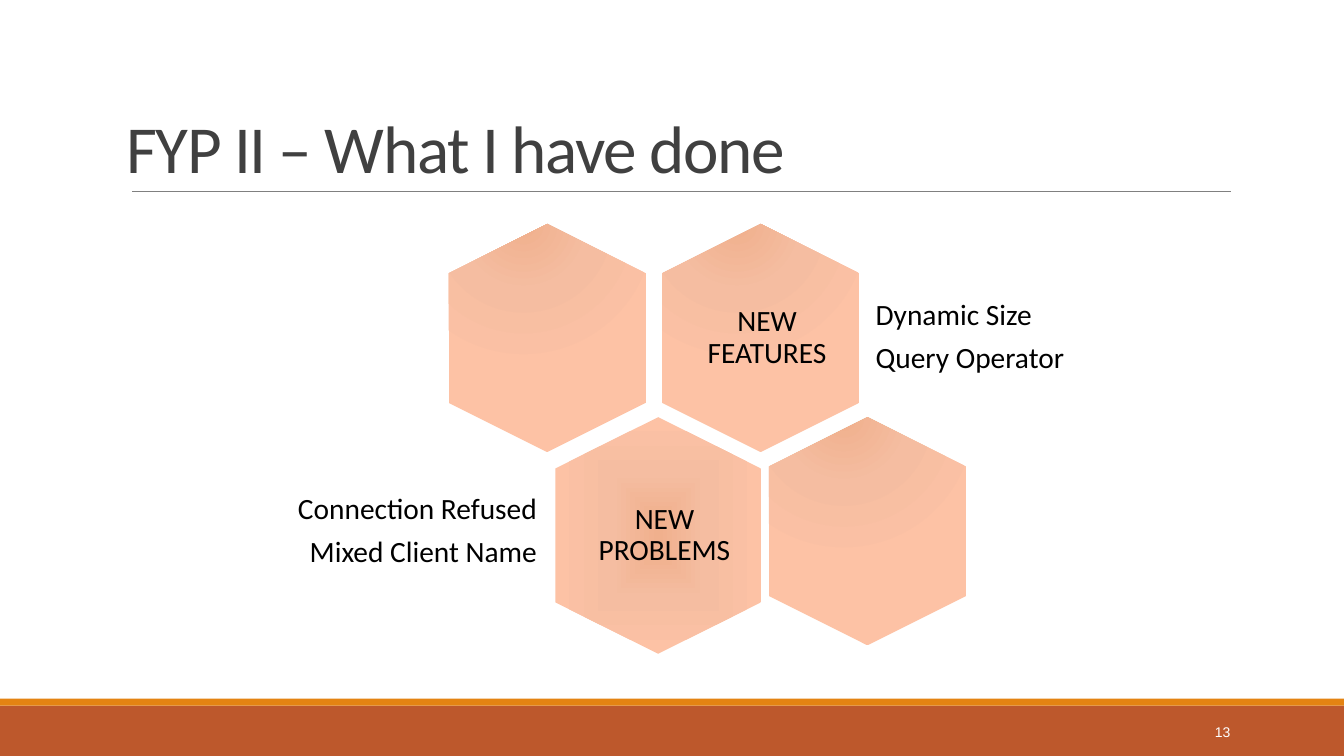
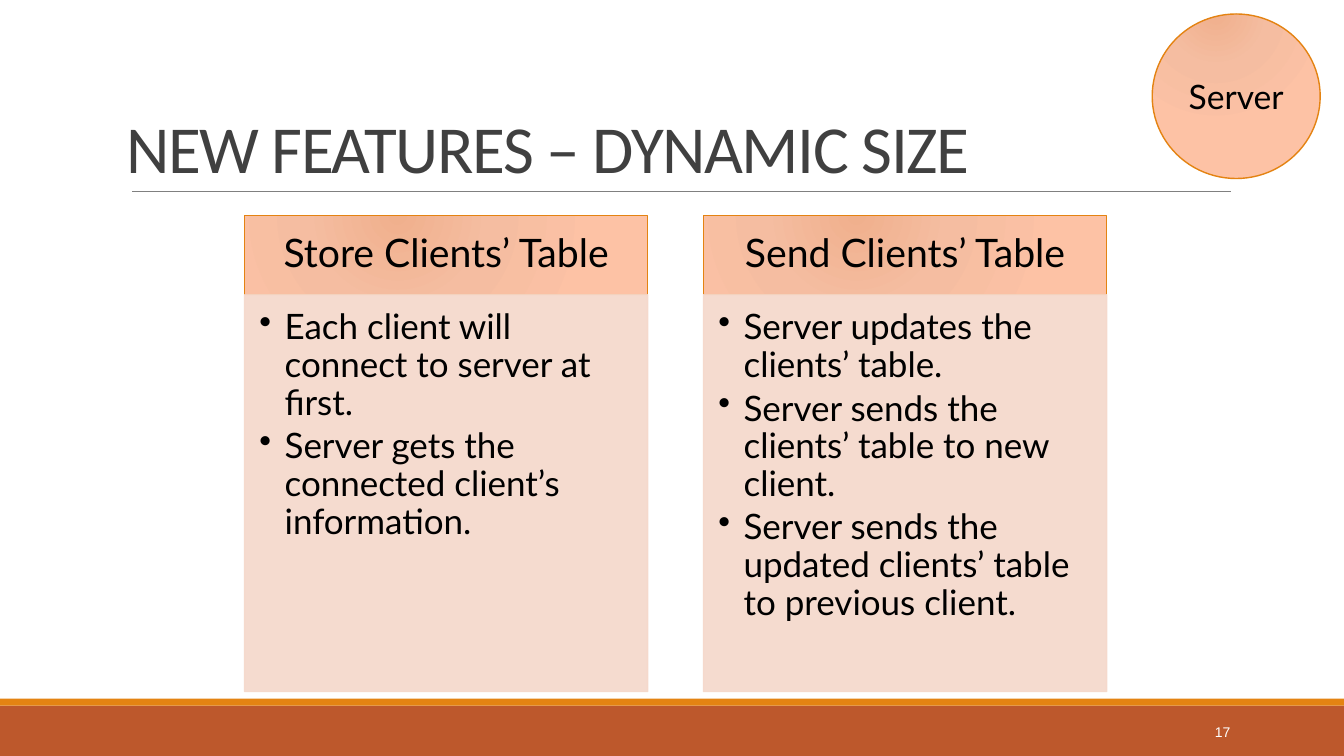
import pptx
import pptx.util
import pptx.oxml
import pptx.oxml.ns
from dataclasses import dataclass
from pptx.dml.color import RGBColor
from pptx.enum.shapes import MSO_CONNECTOR, MSO_SHAPE
from pptx.enum.text import MSO_ANCHOR, PP_ALIGN
from lxml import etree

Pt = pptx.util.Pt
qn = pptx.oxml.ns.qn


@dataclass(frozen=True)
class Theme:
    # Colours
    band: str = "BD582C"
    accent: str = "E48312"
    rule: str = "808080"
    title: str = "404040"
    text: str = "000000"
    number: str = "FFFFFF"
    panel: str = "F5D8CA"
    glow: tuple = ((0, "F0B08D"), (45, "F5BDA1"), (100, "FDC2A5"))
    # Fonts and type sizes
    font: str = "Calibri"
    body_font: str = "Lato"
    number_font: str = "Arial"
    title_size: int = 48
    header_size: int = 28
    body_size: int = 25
    circle_size: int = 24
    label_size: int = 21
    number_size: int = 10


T = Theme()
TOP_GLOW = ("circle", (38, -20, 62, 120))
CENTRE_GLOW = ("shape", (50, 50, 50, 50))


def write(tf, *lines, size, font=T.font, color=T.text, align=PP_ALIGN.LEFT,
          anchor=MSO_ANCHOR.MIDDLE, insets=(7, 7, 7, 7), spacing=0.9, gap=0,
          bullet=False, tracking=None, wrap=True):
    """Fill a text frame, one paragraph for each line."""
    tf.word_wrap = wrap
    tf.vertical_anchor = anchor
    tf.margin_left, tf.margin_top, tf.margin_right, tf.margin_bottom = map(Pt, insets)
    for i, line in enumerate(lines):
        p = tf.add_paragraph() if i else tf.paragraphs[0]
        if bullet:
            pPr = p._p.get_or_add_pPr()
            pPr.set("marL", str(Pt(18)))
            pPr.set("indent", str(-Pt(18)))
            etree.SubElement(pPr, qn("a:buChar"), char="•")
        p.alignment = align
        p.line_spacing = spacing
        p.space_before = Pt(gap if i else 0)
        r = p.add_run()
        r.text = line
        r.font.name = font
        r.font.size = Pt(size)
        r.font.color.rgb = RGBColor.from_string(color)
        if tracking:
            r._r.get_or_add_rPr().set("spc", str(tracking * 100))


class Deck:
    def __init__(self):
        self.prs = pptx.Presentation()
        self.prs.slide_width, self.prs.slide_height = Pt(960), Pt(540)
        self.s = None

    def slide(self, title, number):
        """Start a slide with its title, rule, bands and number."""
        self.s = self.prs.slides.add_slide(self.prs.slide_layouts[5])
        sp = self.s.shapes.title
        sp.left, sp.top, sp.width, sp.height = map(Pt, (86.5, 22.5, 792, 114.5))
        write(sp.text_frame, title, size=T.title_size, color=T.title, spacing=0.85,
              anchor=MSO_ANCHOR.BOTTOM, insets=(3.6,) * 4, tracking=-1)
        self.shape(0, 504, 960, 36, fill=T.band)
        self.shape(0, 499, 960, 5, fill=T.accent)
        self.line(94.5, 137, 879, 137)
        self.text(864, 514, 18.5, 18, number, size=T.number_size, font=T.number_font,
                  color=T.number, align=PP_ALIGN.RIGHT, insets=(3.6,) * 4,
                  spacing=1, wrap=False)

    def line(self, x1, y1, x2, y2):
        c = self.s.shapes.add_connector(MSO_CONNECTOR.STRAIGHT, *map(Pt, (x1, y1, x2, y2)))
        c.line.color.rgb = RGBColor.from_string(T.rule)
        c.line.width = Pt(0.5)
        etree.SubElement(c._element.spPr, qn("a:effectLst"))

    def paint(self, sp, fill=None, glow=None, line=None, alpha=None):
        """Set a plain or glowing fill, and the outline."""
        sp.shadow.inherit = False
        spPr = sp._element.spPr
        if glow:
            kind, edges = glow
            sp.fill.gradient()
            stops = "".join(f'<a:gs pos="{pos * 1000}"><a:srgbClr val="{color}"/></a:gs>'
                            for pos, color in T.glow)
            rect = " ".join(f'{side}="{edge * 1000}"' for side, edge in zip("ltrb", edges))
            spPr.replace(spPr.find(qn("a:gradFill")), pptx.oxml.parse_xml(
                f'<a:gradFill {pptx.oxml.ns.nsdecls("a")} rotWithShape="1">'
                f'<a:gsLst>{stops}</a:gsLst>'
                f'<a:path path="{kind}"><a:fillToRect {rect}/></a:path></a:gradFill>'))
        else:
            sp.fill.solid()
            sp.fill.fore_color.rgb = RGBColor.from_string(fill)
        if line:
            sp.line.color.rgb = RGBColor.from_string(line)
            sp.line.width = Pt(1)
        else:
            sp.line.fill.background()
        if alpha:
            for color in spPr.iter(qn("a:srgbClr")):
                etree.SubElement(color, qn("a:alpha"), val=str(alpha * 1000))

    def shape(self, x, y, w, h, kind=MSO_SHAPE.RECTANGLE, **paint):
        sp = self.s.shapes.add_shape(kind, *map(Pt, (x, y, w, h)))
        self.paint(sp, **paint)
        return sp

    def text(self, x, y, w, h, *lines, **fmt):
        sp = self.s.shapes.add_textbox(*map(Pt, (x, y, w, h)))
        write(sp.text_frame, *lines, **fmt)

    def hexagon(self, x, y, w, h, glow=TOP_GLOW, label=None):
        """Draw a hexagon that stands on a corner."""
        cut = w / 4
        corners = [(x + w / 2, y), (x + w, y + cut), (x + w, y + h - cut),
                   (x + w / 2, y + h), (x, y + h - cut), (x, y + cut)]
        points = [(Pt(px), Pt(py)) for px, py in corners]
        fb = self.s.shapes.build_freeform(*points[0])
        fb.add_line_segments(points[1:], close=True)
        sp = fb.convert_to_shape()
        self.paint(sp, glow=glow)
        if label:
            write(sp.text_frame, label, size=T.label_size, align=PP_ALIGN.CENTER,
                  insets=(28, 7, 19, 7))

    def column(self, x, header, *points):
        """Draw a header over a panel of bullet points."""
        sp = self.shape(x, 154, 288, 56.5, glow=TOP_GLOW, line=T.accent)
        write(sp.text_frame, header, size=T.header_size, font=T.body_font,
              align=PP_ALIGN.CENTER, insets=(8.5,) * 4)
        sp = self.shape(x, 210.5, 288, 283.5, fill=T.panel, line=T.panel, alpha=90)
        write(sp.text_frame, *points, size=T.body_size, font=T.body_font,
              anchor=MSO_ANCHOR.TOP, insets=(10.7,) * 4, gap=4, bullet=True)


def main():
    deck = Deck()

    # Honeycomb of work done
    deck.slide("FYP II – What I have done", "13")
    left, pitch, rows = 320.4, 152.5, (160, 298)
    cells = [(1, 0, 141, 163, TOP_GLOW, "NEW FEATURES"),
             (0, 0, 141, 163, TOP_GLOW, None),
             (0.5, 1, 147, 169, CENTRE_GLOW, "NEW PROBLEMS"),
             (1.5, 1, 141, 163, TOP_GLOW, None)]
    for col, row, w, h, glow, label in cells:
        deck.hexagon(left + col * pitch, rows[row], w, h, glow, label)
    deck.text(618.5, 206.5, 276, 69, "Dynamic Size", "Query Operator",
              size=T.label_size, gap=8)
    deck.text(163.5, 345, 227, 69, "Connection Refused", "Mixed Client Name",
              size=T.label_size, gap=8, align=PP_ALIGN.RIGHT)

    # Server tasks for the dynamic size
    deck.slide("NEW FEATURES – DYNAMIC SIZE", "17")
    deck.column(174.7, "Store Clients’ Table",
                "Each client will connect to server at first.",
                "Server gets the connected client’s information.")
    deck.column(502.5, "Send Clients’ Table",
                "Server updates the clients’ table.",
                "Server sends the clients’ table to new client.",
                "Server sends the updated clients’ table to previous client.")
    sp = deck.shape(823, 10, 120, 117.5, MSO_SHAPE.OVAL, glow=TOP_GLOW, line=T.accent)
    write(sp.text_frame, "Server", size=T.circle_size, font=T.body_font,
          align=PP_ALIGN.CENTER, insets=(3.6,) * 4, spacing=1)

    deck.prs.save("out.pptx")


if __name__ == "__main__":
    main()
